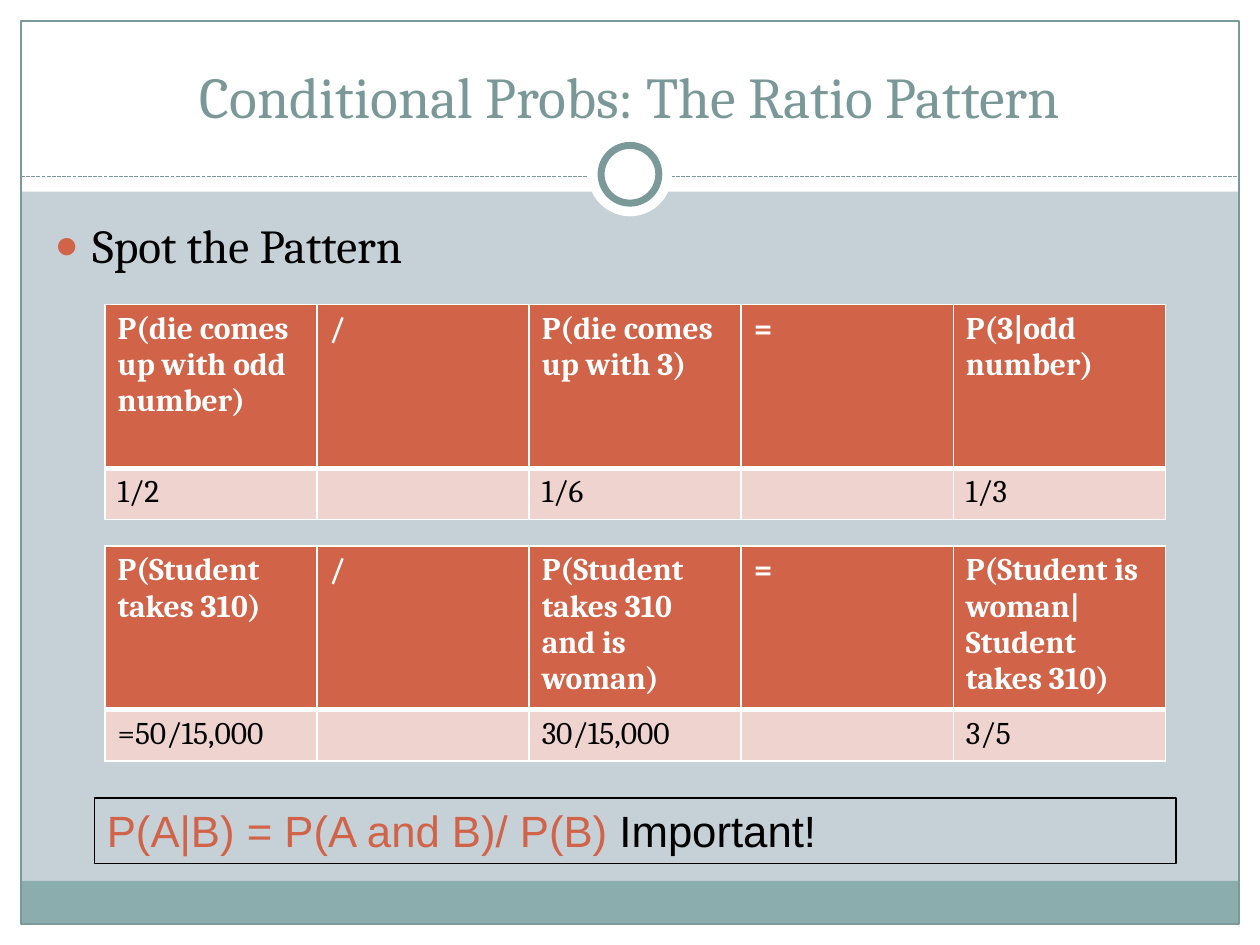
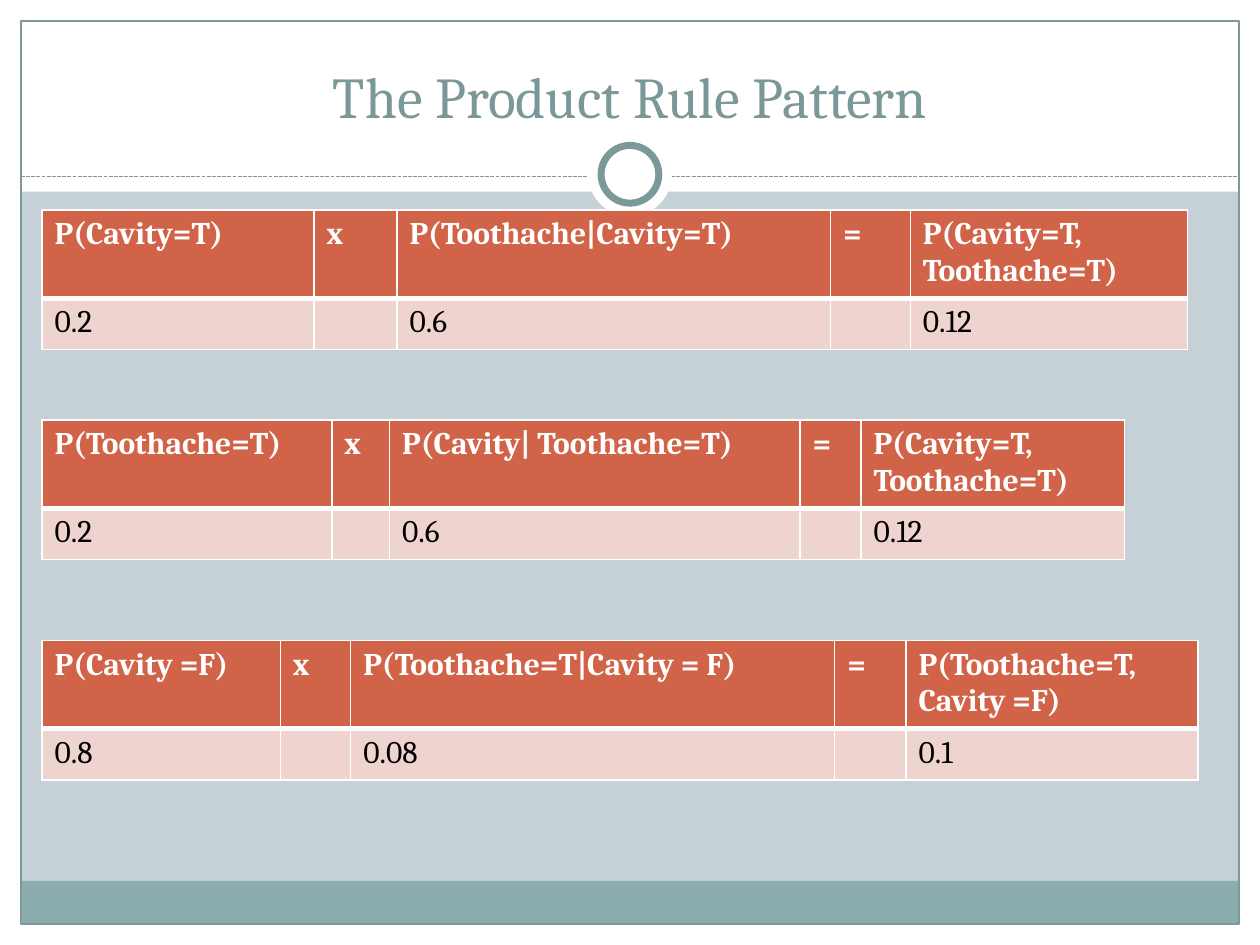
from dataclasses import dataclass

from lxml import etree
from pptx import Presentation
from pptx.dml.color import RGBColor
from pptx.enum.dml import MSO_LINE
from pptx.enum.shapes import MSO_CONNECTOR, MSO_SHAPE
from pptx.enum.text import MSO_ANCHOR, MSO_AUTO_SIZE, PP_ALIGN
from pptx.oxml.ns import qn
from pptx.util import Emu, Inches, Pt

RECT, OVAL = MSO_SHAPE.RECTANGLE, MSO_SHAPE.OVAL
STRAIGHT, DASHED = MSO_CONNECTOR.STRAIGHT, MSO_LINE.SQUARE_DOT
CENTER, LEFT = PP_ALIGN.CENTER, PP_ALIGN.LEFT
BOTTOM, TOP = MSO_ANCHOR.BOTTOM, MSO_ANCHOR.TOP
NO_FIT = MSO_AUTO_SIZE.NONE

# The slide is a grid of 120 columns by 90 rows
COLS, ROWS = 120, 90
CELL = Inches(10) / COLS
TITLE_AND_CONTENT, TITLE_ONLY = 1, 5


@dataclass(frozen=True)
class Theme:
    background: str = "C5D1D7"
    white: str = "FFFFFF"
    black: str = "000000"
    footer: str = "8CADAE"
    rule: str = "7C999A"
    title: str = "7B9899"
    accent: str = "D16349"
    pale: str = "EED3CF"
    serif: str = "Cambria"
    sans: str = "Arial"
    title_size: float = 33
    body_size: float = 27
    formula_size: float = 25
    table_size: float = 18
    hairline: float = 0.75
    ring_line: float = 4
    cell_line: float = 1
    header_line: float = 3


THEME = Theme()


@dataclass(frozen=True)
class Box:
    """A place on the grid, in columns and rows."""
    x: float
    y: float
    w: float
    h: float

    def emu(self) -> tuple:
        return tuple(grid(n) for n in (self.x, self.y, self.w, self.h))


@dataclass(frozen=True)
class FramePart:
    box: Box
    shape: int = RECT
    fill: str = ""
    line: str = ""
    width: float = THEME.hairline


@dataclass(frozen=True)
class Equation:
    """A table with terms above and their values below."""
    x: float
    y: float
    widths: tuple
    heights: tuple
    terms: tuple
    values: tuple


def circle(diameter: float) -> Box:
    return Box(COLS / 2 - diameter / 2, 16.6 - diameter / 2, diameter, diameter)


FRAME = (
    FramePart(Box(0, 88, COLS, 2), fill=THEME.white),
    FramePart(Box(0, 0, COLS, 18.25), fill=THEME.white),
    FramePart(Box(0, 0, 2, ROWS), fill=THEME.white),
    FramePart(Box(118, 0, 2, ROWS), fill=THEME.white),
    FramePart(Box(2, 83.9, 116, 4.1), fill=THEME.footer),
    FramePart(Box(2, 2, 116, 86), line=THEME.rule),
)
RING = (
    FramePart(circle(8), OVAL, fill=THEME.white),
    FramePart(circle(5.5), OVAL, THEME.white, THEME.rule, THEME.ring_line),
)
RULE_Y = 16.8
TITLE_BOX = Box(4, 3, 112, 10)
BODY_BOX = Box(4, 20, 111.6, 9)
FORMULA_BOX = Box(9, 76, 103, 6.25)

EVEN, TALL, SHORT = (20.2,) * 5, (15.6, 4.8), (8.4, 4.9)
RATIOS = (
    Equation(10, 29, EVEN, TALL,
             ("P(die comes up with odd number)", "/", "P(die comes up with 3)",
              "=", "P(3|odd number)"),
             ("1/2", "", "1/6", "", "1/3")),
    Equation(10, 52, EVEN, TALL,
             ("P(Student takes 310)", "/", "P(Student takes 310 and is woman)",
              "=", "P(Student is woman|Student takes 310)"),
             ("=50/15,000", "", "30/15,000", "", "3/5")),
)
PRODUCTS = (
    Equation(4, 20, (25.9, 7.9, 41.3, 7.6, 26.4), SHORT,
             ("P(Cavity=T)", "x", "P(Toothache|Cavity=T)", "=",
              "P(Cavity=T,\nToothache=T)"),
             ("0.2", "", "0.6", "", "0.12")),
    Equation(4, 40, (27.6, 5.5, 39.1, 5.8, 25.1), SHORT,
             ("P(Toothache=T)", "x", "P(Cavity| Toothache=T)", "=",
              "P(Cavity=T,\nToothache=T)"),
             ("0.2", "", "0.6", "", "0.12")),
    Equation(4, 61, (22.7, 6.7, 46.1, 6.8, 27.8), SHORT,
             ("P(Cavity =F)", "x", "P(Toothache=T|Cavity = F)", "=",
              "P(Toothache=T,\nCavity =F)"),
             ("0.8", "", "0.08", "", "0.1")),
)


# Helpers
def grid(n: float) -> Emu:
    return Emu(round(n * CELL))


def rgb(color: str) -> RGBColor:
    return RGBColor.from_string(color)


def format_run(r, size: float, color: str, font: str = THEME.serif,
               bold: bool = False) -> None:
    r.font.size, r.font.name, r.font.bold = Pt(size), font, bold
    r.font.color.rgb = rgb(color)


def set_line(line, color: str, width: float) -> None:
    line.color.rgb = rgb(color)
    line.width = Pt(width)


def place(sp, box: Box) -> None:
    sp.left, sp.top, sp.width, sp.height = box.emu()


# Shared frame
def draw_part(slide, part: FramePart):
    sp = slide.shapes.add_shape(part.shape, *part.box.emu())
    sp.shadow.inherit = False
    if part.fill:
        sp.fill.solid()
        sp.fill.fore_color.rgb = rgb(part.fill)
    else:
        sp.fill.background()
    if part.line:
        set_line(sp.line, part.line, part.width)
    else:
        sp.line.fill.background()
    return sp


def draw_rule(slide):
    line = slide.shapes.add_connector(
        STRAIGHT, grid(2), grid(RULE_Y), grid(118), grid(RULE_Y))
    set_line(line.line, THEME.rule, THEME.hairline)
    line.line.dash_style = DASHED
    etree.SubElement(line._element.spPr, qn("a:effectLst"))
    return line


def build_master(prs, slide) -> None:
    """Draw the frame on a slide, then move it behind the master's content."""
    master = prs.slide_master
    master.background.fill.solid()
    master.background.fill.fore_color.rgb = rgb(THEME.background)
    parts = [draw_part(slide, part) for part in FRAME]
    parts.append(draw_rule(slide))
    parts += [draw_part(slide, part) for part in RING]
    for i, sp in enumerate(parts):
        sp._element.xpath(".//p:cNvPr")[0].set("id", str(100 + i))
        master.shapes._spTree.insert(2 + i, sp._element)


# Slide content
def set_title(slide, text: str) -> None:
    sp = slide.shapes.title
    place(sp, TITLE_BOX)
    tf = sp.text_frame
    tf.text = text
    tf.auto_size, tf.vertical_anchor = NO_FIT, BOTTOM
    p = tf.paragraphs[0]
    p.alignment = CENTER
    format_run(p.runs[0], THEME.title_size, THEME.title)


def set_bullet(slide, text: str) -> None:
    sp = slide.placeholders[1]
    place(sp, BODY_BOX)
    tf = sp.text_frame
    tf.text = text
    tf.auto_size = NO_FIT
    p = tf.paragraphs[0]
    format_run(p.runs[0], THEME.body_size, THEME.black)
    pPr = p._p.get_or_add_pPr()
    pPr.set("marL", str(Inches(0.3)))
    pPr.set("indent", str(-Inches(0.3)))
    color = etree.SubElement(pPr, qn("a:buClr"))
    etree.SubElement(color, qn("a:srgbClr"), val=THEME.accent)
    etree.SubElement(pPr, qn("a:buSzPct"), val="85000")
    etree.SubElement(pPr, qn("a:buFont"), typeface=THEME.sans)
    etree.SubElement(pPr, qn("a:buChar"), char="●")


def set_borders(cell, top: float, bottom: float) -> None:
    tcPr = cell._tc.get_or_add_tcPr()
    sides = (("L", THEME.cell_line), ("R", THEME.cell_line), ("T", top), ("B", bottom))
    for i, (side, width) in enumerate(sides):
        ln = etree.Element(qn(f"a:ln{side}"), w=str(Pt(width)))
        fill = etree.SubElement(ln, qn("a:solidFill"))
        etree.SubElement(fill, qn("a:srgbClr"), val=THEME.white)
        tcPr.insert(i, ln)


def add_equation(slide, eq: Equation) -> None:
    box = Box(eq.x, eq.y, sum(eq.widths), sum(eq.heights))
    table = slide.shapes.add_table(2, len(eq.widths), *box.emu()).table
    for column, width in zip(table.columns, eq.widths):
        column.width = grid(width)
    for row, height in zip(table.rows, eq.heights):
        row.height = grid(height)
    thin, thick = THEME.cell_line, THEME.header_line
    styles = ((eq.terms, THEME.accent, THEME.white, True, thin, thick),
              (eq.values, THEME.pale, THEME.black, False, thick, thin))
    for row, (texts, fill, color, bold, top, bottom) in zip(table.rows, styles):
        for cell, text in zip(row.cells, texts):
            cell.text = text
            cell.fill.solid()
            cell.fill.fore_color.rgb = rgb(fill)
            set_borders(cell, top, bottom)
            for p in cell.text_frame.paragraphs:
                for r in p.runs:
                    format_run(r, THEME.table_size, color, bold=bold)


def add_formula(slide, formula: str, remark: str) -> None:
    sp = slide.shapes.add_textbox(*FORMULA_BOX.emu())
    set_line(sp.line, THEME.black, THEME.hairline)
    tf = sp.text_frame
    tf.word_wrap, tf.vertical_anchor = True, TOP
    p = tf.paragraphs[0]
    p.alignment = LEFT
    for text, color in ((formula, THEME.accent), (remark, THEME.black)):
        r = p.add_run()
        r.text = text
        format_run(r, THEME.formula_size, color, THEME.sans)


def main() -> None:
    prs = Presentation()
    prs.slide_width, prs.slide_height = grid(COLS), grid(ROWS)

    # Ratio pattern
    ratio = prs.slides.add_slide(prs.slide_layouts[TITLE_AND_CONTENT])
    build_master(prs, ratio)
    set_title(ratio, "Conditional Probs: The Ratio Pattern")
    set_bullet(ratio, "Spot the Pattern")
    for eq in RATIOS:
        add_equation(ratio, eq)
    add_formula(ratio, "P(A|B) = P(A and B)/ P(B) ", "Important!")

    # Product rule
    product = prs.slides.add_slide(prs.slide_layouts[TITLE_ONLY])
    set_title(product, "The Product Rule Pattern")
    for eq in PRODUCTS:
        add_equation(product, eq)

    prs.save("out.pptx")


if __name__ == "__main__":
    main()
